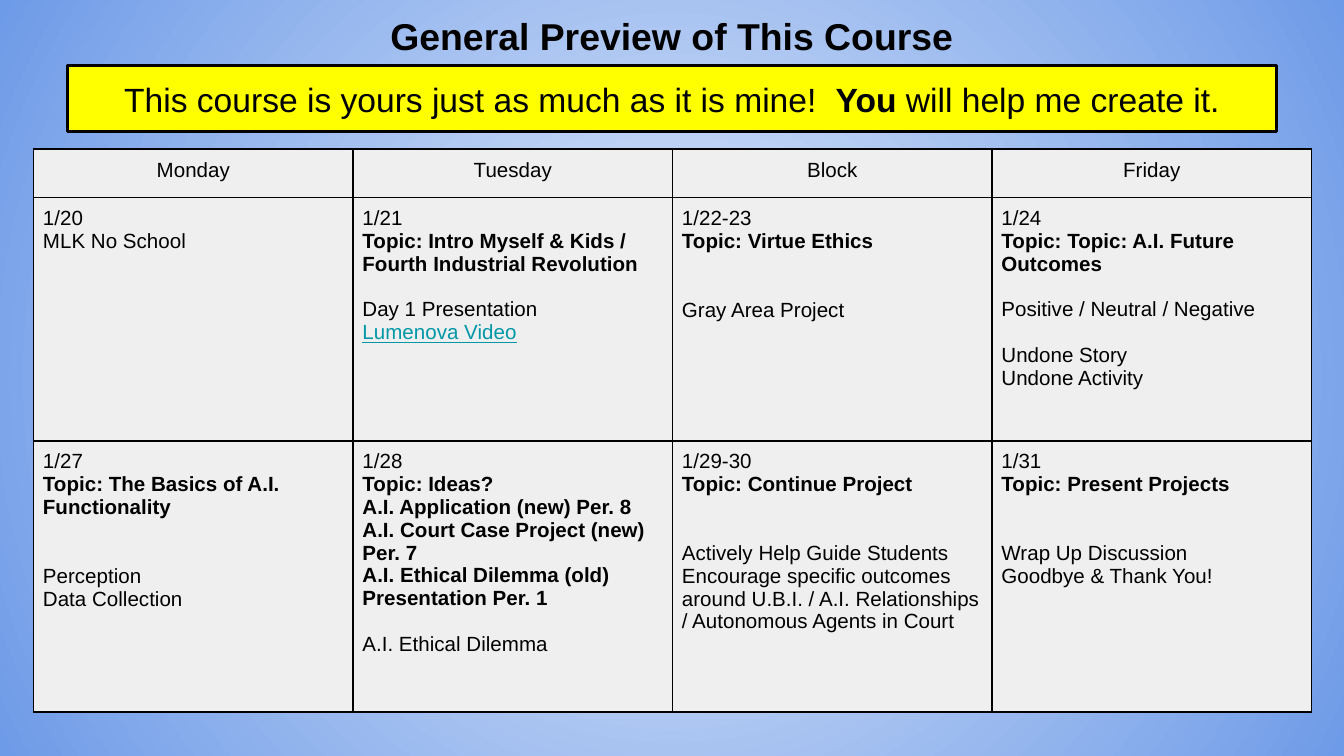
import pptx
import pptx.dml.color
import pptx.enum.dml
import pptx.enum.shapes
import pptx.enum.text
import pptx.oxml
import pptx.oxml.ns
import pptx.util
from dataclasses import dataclass
from lxml import etree
from pptx.util import Inches

Color = pptx.dml.color.RGBColor.from_string
Align = pptx.enum.text.PP_ALIGN
Anchor = pptx.enum.text.MSO_ANCHOR
qn = pptx.oxml.ns.qn


@dataclass(frozen=True)
class Theme:
    font: str = "Arial"
    ink: str = "000000"
    link: str = "0097A7"
    banner: str = "FFFF00"
    cell: str = "EFEFEF"
    glow: str = "DFE9FB"
    edge: str = "6E9BE7"
    title_size: float = 20
    banner_size: float = 18
    table_size: float = 11
    line_gap: float = 12.3


theme = Theme()


def format_paragraph(paragraph, size, bold=False, align=Align.LEFT, color=theme.ink):
    paragraph.alignment = align
    paragraph.font.name = theme.font
    paragraph.font.size = pptx.util.Pt(size)
    paragraph.font.bold = bold
    paragraph.font.color.rgb = Color(color)


def add_cell_borders(cell):
    properties = cell._tc.get_or_add_tcPr()
    for index, side in enumerate(("lnL", "lnR", "lnT", "lnB")):
        line = etree.Element(qn("a:" + side), w=str(pptx.util.Pt(1)))
        fill = etree.SubElement(line, qn("a:solidFill"))
        etree.SubElement(fill, qn("a:srgbClr"), val=theme.ink)
        properties.insert(index, line)


# Widescreen 16:9 slide
presentation = pptx.Presentation()
presentation.slide_width = Inches(10)
presentation.slide_height = Inches(10) * 9 // 16
slide = presentation.slides.add_slide(presentation.slide_layouts[5])

# Background: light centre fading to blue corners
background = slide.background.fill
background.gradient()
for stop, color in zip(background.gradient_stops, (theme.glow, theme.edge)):
    stop.color.rgb = Color(color)
gradient = slide.element.find(".//" + qn("a:gradFill"))
gradient.remove(gradient.find(qn("a:lin")))
circle = etree.Element(qn("a:path"), path="circle")
etree.SubElement(circle, qn("a:fillToRect"), l="50000", t="50000", r="50000", b="50000")
gradient.find(qn("a:gsLst")).addnext(circle)

# Title and banner
title = slide.shapes.title
title.left, title.top = Inches(0.34), Inches(0)
title.width, title.height = Inches(9.32), Inches(0.49)
title.text_frame.text = "General Preview of This Course"
format_paragraph(title.text_frame.paragraphs[0], theme.title_size, True, Align.CENTER)

banner = slide.shapes.add_shape(
    pptx.enum.shapes.MSO_SHAPE.RECTANGLE, Inches(0.5), Inches(0.49), Inches(9), Inches(0.49))
banner.shadow.inherit = False
banner.fill.solid()
banner.fill.fore_color.rgb = Color(theme.banner)
banner.line.color.rgb = Color(theme.ink)
banner.line.width = pptx.util.Pt(1.5)
paragraph = banner.text_frame.paragraphs[0]
format_paragraph(paragraph, theme.banner_size, align=Align.CENTER)
for text in ("This course is yours just as much as it is mine!  ", "You", " will help me create it."):
    run = paragraph.add_run()
    run.text = text
    if text == "You":
        run.font.bold = True

for shape, anchor in ((title, Anchor.TOP), (banner, Anchor.MIDDLE)):
    frame = shape.text_frame
    frame.word_wrap = True
    frame.auto_size = pptx.enum.text.MSO_AUTO_SIZE.NONE
    frame.vertical_anchor = anchor
    frame.margin_left = frame.margin_right = Inches(0.1)
    frame.margin_top = frame.margin_bottom = Inches(0.1)

# Schedule: date, bold topics, then details as (lines of space before, text)
days = ["Monday", "Tuesday", "Block", "Friday"]
link_text = "Lumenova Video"
weeks = [
    [
        ("1/20", [], [(0, "MLK No School")]),
        ("1/21", ["Topic: Intro Myself & Kids / Fourth Industrial Revolution"],
         [(1, "Day 1 Presentation"), (0, link_text)]),
        ("1/22-23", ["Topic: Virtue Ethics"], [(2, "Gray Area Project")]),
        ("1/24", ["Topic: Topic: A.I. Future Outcomes"],
         [(1, "Positive / Neutral / Negative"), (1, "Undone Story"), (0, "Undone Activity")]),
    ],
    [
        ("1/27", ["Topic: The Basics of A.I. Functionality"],
         [(2, "Perception"), (0, "Data Collection")]),
        ("1/28", ["Topic: Ideas?", "A.I. Application (new) Per. 8",
                  "A.I. Court Case Project (new) Per. 7",
                  "A.I. Ethical Dilemma (old) Presentation Per. 1"],
         [(1, "A.I. Ethical Dilemma")]),
        ("1/29-30", ["Topic: Continue Project"],
         [(2, "Actively Help Guide Students"),
          (0, "Encourage specific outcomes around U.B.I. / A.I. Relationships "
              "/ Autonomous Agents in Court")]),
        ("1/31", ["Topic: Present Projects"],
         [(2, "Wrap Up Discussion"), (0, "Goodbye & Thank You!")]),
    ],
]

# Table grid
row_heights = (0.36, 1.81, 2.02)
table_width = Inches(9.51)
table = slide.shapes.add_table(
    len(row_heights), len(days), Inches(0.25), Inches(1.11),
    table_width, Inches(sum(row_heights))).table
table.first_row = table.horz_banding = False
for row, height in zip(table.rows, row_heights):
    row.height = Inches(height)
for column in table.columns:
    column.width = table_width // len(days)
for cell in table.iter_cells():
    cell.fill.solid()
    cell.fill.fore_color.rgb = Color(theme.cell)
    cell.margin_left = cell.margin_right = Inches(0.07)
    cell.margin_top = cell.margin_bottom = Inches(0.07)
    add_cell_borders(cell)

# Table text
for column_index, day in enumerate(days):
    cell = table.cell(0, column_index)
    cell.text = day
    format_paragraph(cell.text_frame.paragraphs[0], theme.table_size, align=Align.CENTER)

for row_index, week in enumerate(weeks, start=1):
    for column_index, (date, topics, details) in enumerate(week):
        frame = table.cell(row_index, column_index).text_frame
        lines = [(0, date, False)]
        lines += [(0, topic, True) for topic in topics]
        lines += [(gap, detail, False) for gap, detail in details]
        frame.text = "\n".join(text for gap, text, bold in lines)
        for paragraph, (gap, text, bold) in zip(frame.paragraphs, lines):
            is_link = text == link_text
            if gap:
                paragraph.space_before = pptx.util.Pt(gap * theme.line_gap)
            format_paragraph(paragraph, theme.table_size, bold,
                             color=theme.link if is_link else theme.ink)
            if is_link:
                paragraph.font.underline = True

presentation.save("out.pptx")
